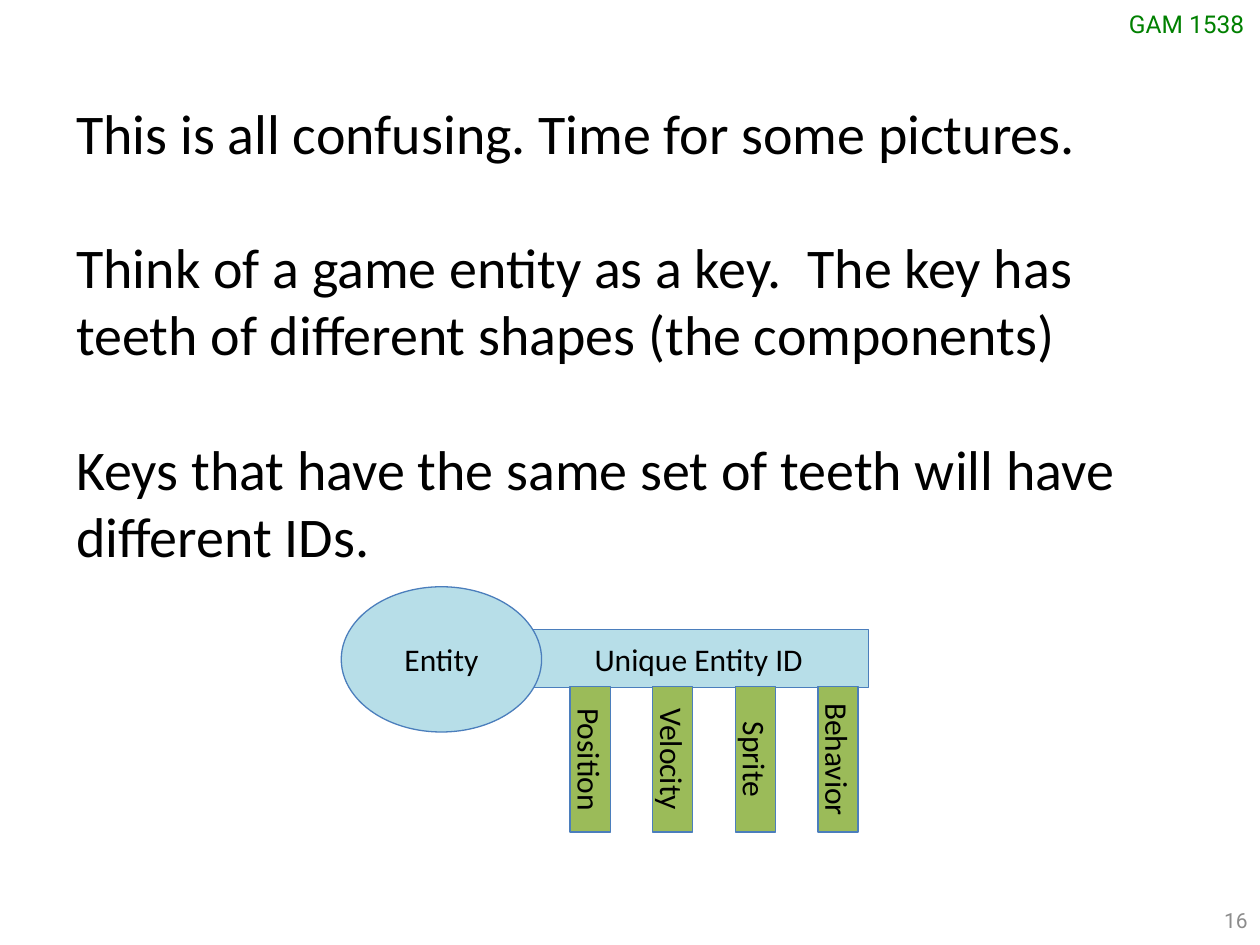
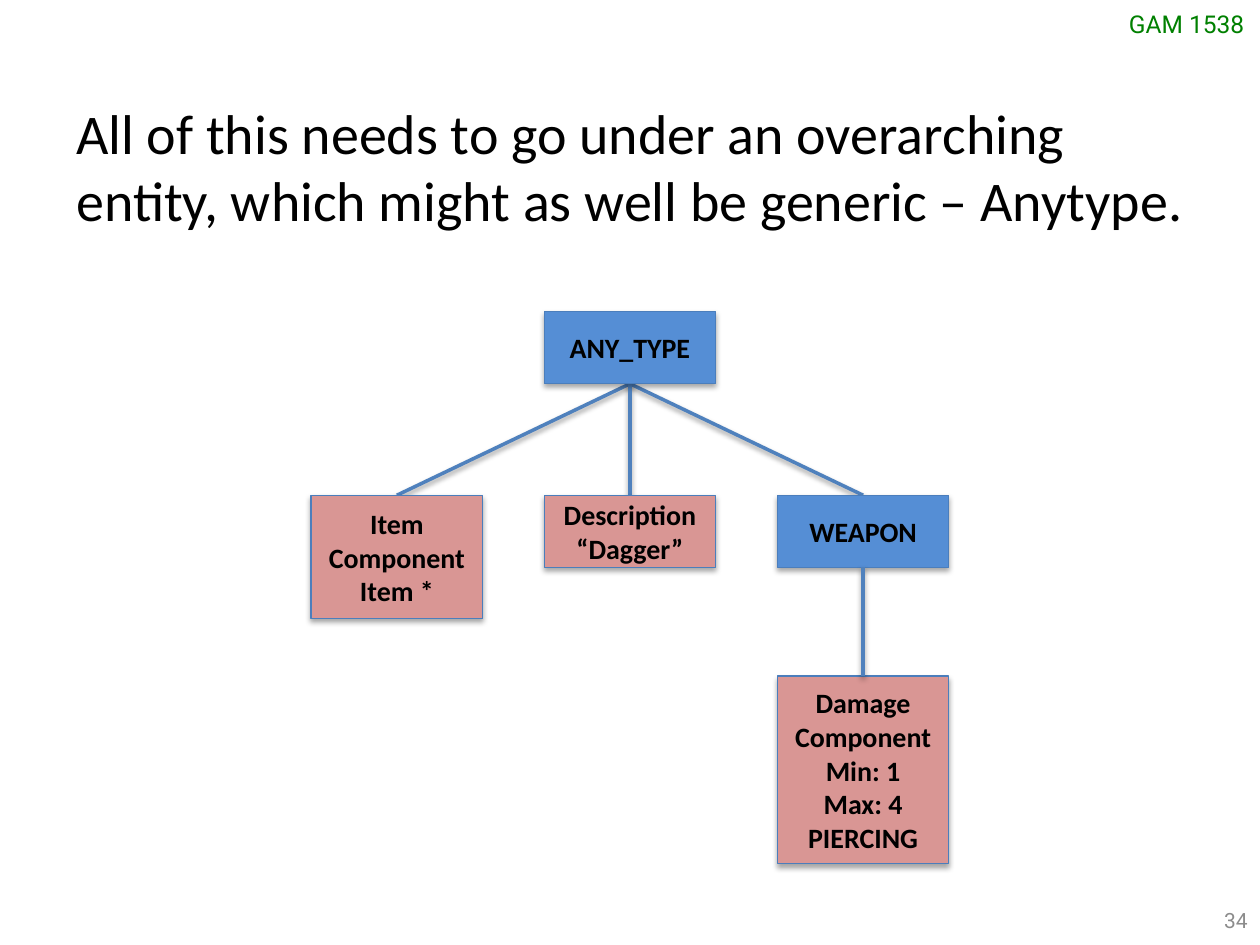
from lxml import etree
from pptx import Presentation
from pptx.dml.color import RGBColor
from pptx.enum import shapes as kinds, text as tx
from pptx.oxml.ns import qn
from pptx.util import Pt

WIDE, HIGH = 720, 540
BLACK, GREEN, GREY = "000000", "008000", "8C8C8C"
EDGE, LINK = "4B7EBC", "4F81BD"
AQUA, OLIVE, BLUE, ROSE = "B7DEE8", "9BBB59", "558ED5", "D99694"
BODY, MARK = "Calibri", "Roboto"
RECT, OVAL = kinds.MSO_SHAPE.RECTANGLE, kinds.MSO_SHAPE.OVAL
LEFT, MID, RIGHT = tx.PP_ALIGN.LEFT, tx.PP_ALIGN.CENTER, tx.PP_ALIGN.RIGHT
TOP, BOTTOM = 0, 2


def paint(code):
    """Turn a hex string into a colour."""
    return RGBColor.from_string(code)


def write(frame, paras, size, font=BODY, code=BLACK, bold=False, align=LEFT, gap=0):
    """Fill a text frame run by run; a newline breaks a line inside a paragraph."""
    for i, words in enumerate(paras):
        para = frame.paragraphs[0] if i == 0 else frame.add_paragraph()
        para.alignment = align
        if i:
            para.space_before = Pt(gap)
        for j, line in enumerate(words.split("\n")):
            if j:
                para.add_line_break()
            run = para.add_run()
            run.text = line
            run.font.size, run.font.name, run.font.bold = Pt(size), font, bold
            run.font.color.rgb = paint(code)


def label(slide, box, paras, size, wrap=True, grow=False, anchor=tx.MSO_ANCHOR.TOP, **style):
    """Add a plain text box."""
    frame = slide.shapes.add_textbox(*map(Pt, box)).text_frame
    frame.word_wrap, frame.vertical_anchor = wrap, anchor
    if grow:
        frame.auto_size = tx.MSO_AUTO_SIZE.SHAPE_TO_FIT_TEXT
    write(frame, paras, size, **style)


def cast(shape, dist, alpha):
    """Give a shape or connector a soft shadow straight below it."""
    effect = etree.SubElement(shape.element.spPr, qn("a:effectLst"))
    outer = etree.SubElement(effect, qn("a:outerShdw"), blurRad=str(Pt(3.15)),
                             dist=str(Pt(dist)), dir="5400000", rotWithShape="0")
    tone = etree.SubElement(outer, qn("a:srgbClr"), val=BLACK)
    etree.SubElement(tone, qn("a:alpha"), val=str(alpha * 1000))


def block(group, kind, box, fill, paras, size, bold=False, shade=False):
    """Add a filled, outlined shape with centred text to a group."""
    shape = group.shapes.add_shape(kind, *map(Pt, box))
    shape.fill.solid()
    shape.fill.fore_color.rgb = paint(fill)
    shape.line.color.rgb, shape.line.width = paint(EDGE), Pt(0.75)
    if shade:
        cast(shape, 1.8, 35)
    else:
        shape.shadow.inherit = False
    frame = shape.text_frame
    frame.word_wrap, frame.vertical_anchor = True, tx.MSO_ANCHOR.MIDDLE
    write(frame, paras, size, bold=bold, align=MID)
    return shape


def link(slide, start, exit, end, entry):
    """Join the sides of two blocks with a shadowed line."""
    line = slide.shapes.add_connector(kinds.MSO_CONNECTOR.STRAIGHT, 0, 0, 0, 0)
    line.begin_connect(start, exit)
    line.end_connect(end, entry)
    line.line.color.rgb, line.line.width = paint(LINK), Pt(2)
    cast(line, 1.6, 38)


def page(deck, number, paras, tall):
    """Start a slide with course mark, page number and body text."""
    slide = deck.slides.add_slide(deck.slide_layouts[6])
    label(slide, (638, 1.5, 82, 24.5), ["GAM 1538"], 14, wrap=False, grow=True,
          font=MARK, code=GREEN)
    label(slide, (552, 511, 168, 29), [str(number)], 12, anchor=tx.MSO_ANCHOR.MIDDLE,
          font=MARK, code=GREY, align=RIGHT)
    label(slide, (36.5, 52.5, 651.5, tall), paras, 32, grow=True, gap=38.5)
    return slide


def key(slide, left, top, teeth):
    """Draw an entity as a key with one tooth for each component."""
    group = slide.shapes.add_group_shape()
    block(group, RECT, (left + 107, top + 24.5, 194.5, 33), AQUA, ["Unique Entity ID"], 18)
    long, thick, pitch = 83, 23, 47.2
    for i, name in enumerate(teeth):
        x, y = left + 142.2 + i * pitch, top + 98.7
        tooth = block(group, RECT, (x - long / 2, y - thick / 2, long, thick),
                      OLIVE, [name], 18)
        tooth.rotation = 90
    block(group, OVAL, (left, top, 114.5, 83), AQUA, ["Entity"], 18)


def tree(slide, left, top):
    """Draw the component tree of the dagger."""
    group = slide.shapes.add_group_shape()
    wide, low, pitch = 98, 41.3, 133.2
    rows = (0, 105, 208.3)

    def node(col, row, tall, fill, *paras):
        """Place one node on the grid of the tree."""
        box = (left + col * pitch, top + rows[row], wide, tall)
        return block(group, RECT, box, fill, paras, 16, bold=True, shade=True)

    root = node(1, 0, low, BLUE, "ANY_TYPE")
    item = node(0, 1, 70.5, ROSE, "Item\nComponent", "Item *")
    about = node(1, 1, low, ROSE, "Description", "“Dagger”")
    harm = node(2, 2, 107.3, ROSE, "Damage", "Component", "Min: 1\nMax: 4", "PIERCING")
    weapon = node(2, 1, low, BLUE, "WEAPON")
    for child in (item, weapon, about):
        link(slide, root, BOTTOM, child, TOP)
    group.element.getparent().append(group.element)
    link(slide, harm, TOP, weapon, BOTTOM)


def main():
    """Build and save the deck."""
    deck = Presentation()
    deck.slide_width, deck.slide_height = Pt(WIDE), Pt(HIGH)
    slide = page(deck, 16, [
        "This is all confusing. Time for some pictures.",
        "Think of a game entity as a key.  The key has teeth of different shapes "
        "(the components)",
        "Keys that have the same set of teeth will have different IDs."], 317.5)
    key(slide, 195, 335.3, ["Position", "Velocity", "Sprite", "Behavior"])
    slide = page(deck, 34, [
        "All of this needs to go under an overarching entity, which might as well "
        "be generic – Anytype."], 85)
    tree(slide, 177.8, 178)
    deck.save("out.pptx")


main()
